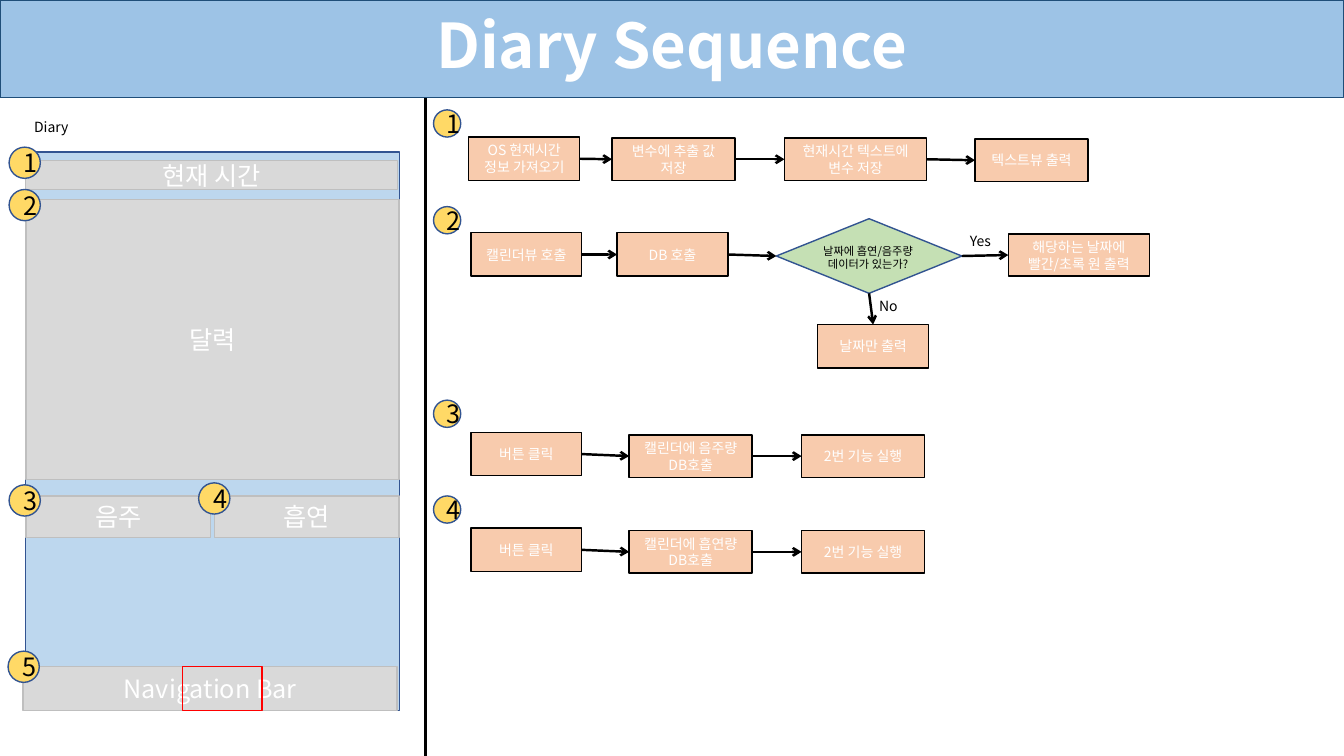
from dataclasses import dataclass
from itertools import pairwise

from lxml import etree
from pptx import Presentation, util as u
from pptx.dml import color
from pptx.enum import shapes, text
from pptx.oxml import ns

COLS, ROWS = 133.3, 75
CELL = u.Inches(7.5) / ROWS
FONT = "Noto Sans CJK KR"
KIND = shapes.MSO_SHAPE
CENTER = text.PP_ALIGN.CENTER


@dataclass(frozen=True)
class Style:
    kind: int
    fill: str
    line: str
    ink: str
    size: int


@dataclass(frozen=True)
class Box:
    col: float
    row: float
    wide: float
    high: float
    label: str = ""


@dataclass(frozen=True)
class Flow:
    badge: Box
    steps: tuple


PHONE = Style(KIND.RECTANGLE, "BDD7EE", "325491", "FFFFFF", 18)
PANEL = Style(KIND.RECTANGLE, "D9D9D9", "BFBFBF", "FFFFFF", 18)
FRAME = Style(KIND.RECTANGLE, "", "FF0000", "FFFFFF", 18)
BADGE = Style(KIND.OVAL, "FFD966", "325491", "000000", 18)
STEP = Style(KIND.RECTANGLE, "F8CBAD", "000000", "FFFFFF", 10)
CHOICE = Style(KIND.DIAMOND, "C5E0B4", "325491", "000000", 8)

PANELS = (
    Box(2.3, 66.1, 37.1, 4.4, "Navigation Bar"),
    Box(2.5, 15.9, 36.9, 2.9, "현재 시간"),
    Box(2.6, 19.8, 37, 27.8, "달력"),
    Box(2.6, 49.2, 18.3, 4.1, "음주"),
    Box(21.3, 49.2, 18.3, 4.1, "흡연"),
)
SPOTS = ((0.9, 14.6), (0.9, 18.8), (0.9, 48.1), (19.7, 47.9), (0.8, 64.6))
TEST = Box(77, 21.7, 18.4, 7.4)
SKIP = Box(81.1, 32.2, 11, 4.3, "날짜만 출력")


def mark(num: int, row: float) -> Box:
    """Give the numbered badge of a flow."""
    return Box(43, row, 2.7, 2.7, str(num))


def click(num: int, row: float, name: str) -> Flow:
    """Give the flow that follows a button click."""
    return Flow(mark(num, row), (
        Box(46.7, row + 3.2, 11, 4.3, "버튼 클릭"),
        Box(62.4, row + 3.45, 12.2, 4.2, f"캘린더에 {name} DB호출"),
        Box(79.5, row + 3.45, 12.2, 4.2, "2번 기능 실행"),
    ))


FLOWS = (
    Flow(mark(1, 10.9), (
        Box(46.5, 13.6, 11, 4.3, "OS 현재시간\n정보 가져오기"),
        Box(60.7, 13.7, 12.2, 4.2, "변수에 추출 값\n저장"),
        Box(77.8, 13.7, 14.1, 4.2, "현재시간 텍스트에 변수 저장"),
        Box(96.7, 13.8, 11.2, 4.2, "텍스트뷰 출력"),
    )),
    Flow(mark(2, 20.5), (
        Box(46.7, 23.1, 11, 4.3, "캘린더뷰 호출"),
        Box(61.2, 23.1, 11, 4.3, "DB 호출"),
        TEST,
        Box(100, 23.2, 14, 4.2, "해당하는 날짜에\n빨간/초록 원 출력"),
    )),
    click(3, 39.7, "음주량"),
    click(4, 49.2, "흡연량"),
)
NOTES = (
    (Box(2.4, 11.3, 8.7, 2.7, "Diary"), 10, None),
    (Box(79.7, 23.7, 12.8, 3.7, "날짜에 흡연/음주량 데이터가 있는가?"), 8, CENTER),
    (Box(86.2, 29, 4.5, 2.7, "No"), 10, None),
    (Box(95.2, 22.6, 4.5, 2.7, "Yes"), 10, None),
)


def grid(*cells: float) -> list:
    """Turn grid cells into lengths."""
    return [u.Emu(round(cell * CELL)) for cell in cells]


def place(box: Box) -> list:
    """Give the left, top, width and height of a box."""
    return grid(box.col, box.row, box.wide, box.high)


def tint(code: str) -> color.RGBColor:
    """Turn a hex string into a colour."""
    return color.RGBColor.from_string(code)


def write(shape, label: str, size: int, ink: str, align=CENTER, bold: bool = False) -> None:
    """Put formatted text in a shape."""
    frame = shape.text_frame
    frame.text = label
    frame.word_wrap = True
    for para in frame.paragraphs:
        para.alignment = align
        for run in para.runs:
            run.font.size = u.Pt(size)
            run.font.bold = bold
            run.font.name = FONT
            run.font.color.rgb = tint(ink)
            etree.SubElement(run.font._element, ns.qn("a:ea"), typeface=FONT)


def paint(shape, fill: str, line: str, width: float = 1) -> None:
    """Set the fill and outline of a shape."""
    if fill:
        shape.fill.solid()
        shape.fill.fore_color.rgb = tint(fill)
    else:
        shape.fill.background()
    shape.line.color.rgb = tint(line)
    shape.line.width = u.Pt(width)


def draw(slide, box: Box, style: Style):
    """Draw a box in a style."""
    shape = slide.shapes.add_shape(style.kind, *place(box))
    shape.shadow.inherit = False
    paint(shape, style.fill, style.line)
    if box.label:
        write(shape, box.label, style.size, style.ink)
    return shape


def note(slide, box: Box, size: int, align) -> None:
    """Add a plain text box."""
    shape = slide.shapes.add_textbox(*place(box))
    write(shape, box.label, size, "000000", align)
    shape.text_frame.auto_size = text.MSO_AUTO_SIZE.SHAPE_TO_FIT_TEXT


def rule(slide, width: float, *ends: float):
    """Draw a straight black line."""
    line = slide.shapes.add_connector(shapes.MSO_CONNECTOR.STRAIGHT, *grid(*ends))
    line.line.color.rgb = tint("000000")
    line.line.width = u.Pt(width)
    etree.SubElement(line._element.spPr, ns.qn("a:effectLst"))
    return line


def arrow(slide, start, end, out: int = 3, into: int = 1) -> None:
    """Join two shapes with an arrow."""
    line = rule(slide, 1.75, 0, 0, 0, 0)
    line.begin_connect(start, out)
    line.end_connect(end, into)
    etree.SubElement(line.line._get_or_add_ln(), ns.qn("a:tailEnd"), type="arrow")


def head(slide) -> None:
    """Format the title banner."""
    title = slide.shapes.title
    title.left, title.top, title.width, title.height = grid(0, 0, COLS, 9.7)
    paint(title, "9DC3E6", "1F4E79", 0.75)
    write(title, "Diary Sequence", 44, "FFFFFF", bold=True)
    title.text_frame.vertical_anchor = text.MSO_ANCHOR.MIDDLE
    title.text_frame.paragraphs[0].line_spacing = 0.9


def screen(slide) -> None:
    """Draw the phone screen with its numbered parts."""
    draw(slide, Box(2.5, 15.1, 37.1, 55.4), PHONE)
    for panel in PANELS:
        draw(slide, panel, PANEL)
    for num, (col, row) in enumerate(SPOTS, 1):
        draw(slide, Box(col, row, 3.1, 3.1, str(num)), BADGE)
    draw(slide, Box(18.1, 66.1, 7.9, 4.4), FRAME)


def main() -> None:
    """Build and save the slide."""
    deck = Presentation()
    deck.slide_width, deck.slide_height = grid(COLS, ROWS)
    slide = deck.slides.add_slide(deck.slide_layouts[5])
    head(slide)
    rule(slide, 2.25, 42.2, ROWS, 42.2, 9.7)
    screen(slide)
    for flow in FLOWS:
        draw(slide, flow.badge, BADGE)
        drawn = [draw(slide, step, CHOICE if step is TEST else STEP) for step in flow.steps]
        for start, end in pairwise(drawn):
            arrow(slide, start, end)
        if TEST in flow.steps:
            test = drawn[flow.steps.index(TEST)]
            arrow(slide, test, draw(slide, SKIP, STEP), 2, 0)
    for box, size, align in NOTES:
        note(slide, box, size, align)
    deck.save("out.pptx")


if __name__ == "__main__":
    main()
